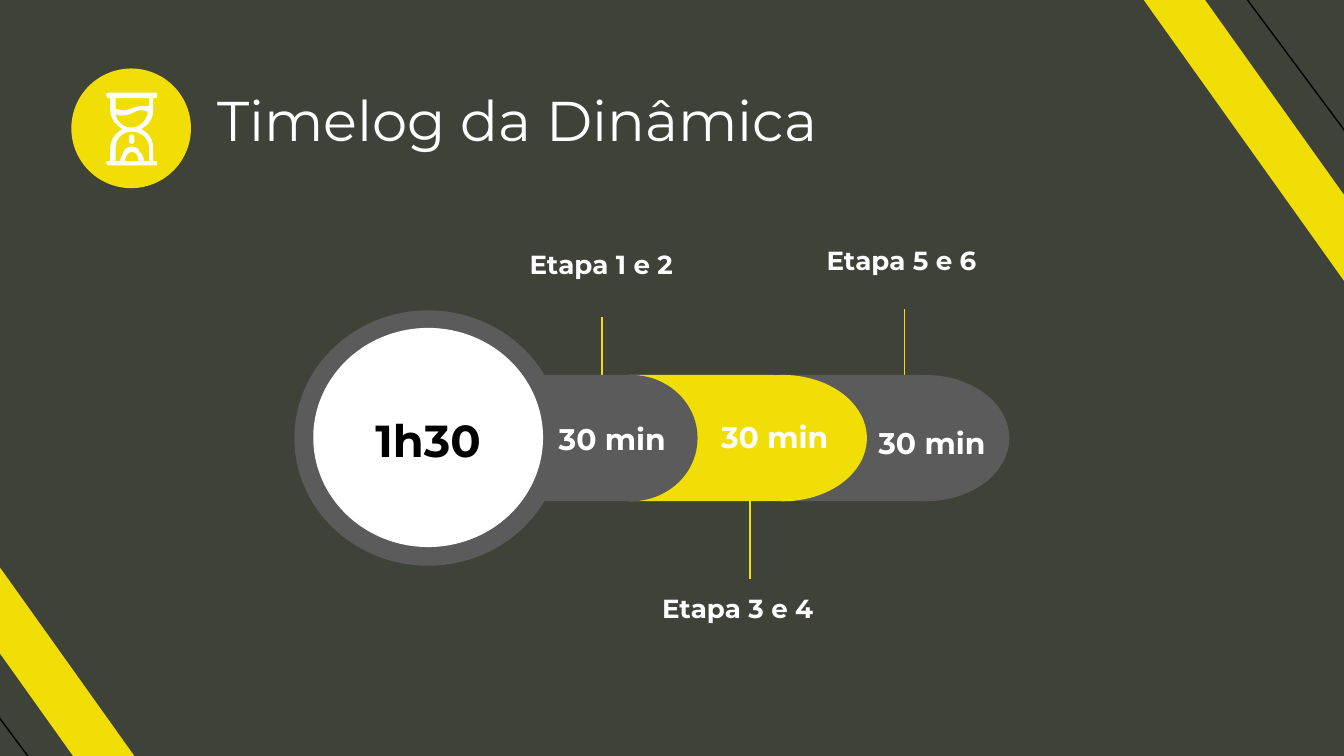
"""Build the "Timelog da Dinâmica" slide: a 1h30 session split into three 30-minute stages."""
from dataclasses import dataclass

from lxml import etree
from pptx import Presentation
from pptx import util as u
from pptx.dml import color
from pptx.enum import shapes, text
from pptx.oxml import ns


@dataclass(frozen=True)
class Theme:
    font: str = "Montserrat"
    background: str = "3F4238"
    yellow: str = "F1DE07"
    gray: str = "5B5B5B"
    white: str = "FFFFFF"
    black: str = "000000"
    title: int = 30
    total: int = 24
    duration: int = 16
    stage: int = 14


theme = Theme()
KIND = shapes.MSO_SHAPE
ALIGN = text.PP_ALIGN


def paint(shape, fill):
    shape.shadow.inherit = False
    shape.fill.solid()
    shape.fill.fore_color.rgb = color.RGBColor.from_string(fill)
    shape.line.fill.background()


def write(wording, box, size, ink=theme.white, bold=True, align=ALIGN.CENTER):
    label = slide.shapes.add_textbox(*map(u.Pt, box))
    frame = label.text_frame
    frame.word_wrap = True
    frame.margin_left = frame.margin_right = u.Pt(5.4)
    frame.margin_top = frame.margin_bottom = u.Pt(2.7)
    paragraph = frame.paragraphs[0]
    paragraph.alignment = align
    run = paragraph.add_run()
    run.text = wording
    run.font.name = theme.font
    run.font.size = u.Pt(size)
    run.font.bold = bold
    run.font.color.rgb = color.RGBColor.from_string(ink)
    return label


deck = Presentation()
deck.slide_width, deck.slide_height = u.Pt(720), u.Pt(405)
slide = deck.slides.add_slide(deck.slide_layouts[6])
slide.background.fill.solid()
slide.background.fill.fore_color.rgb = color.RGBColor.from_string(theme.background)

for left, top, turn in ((590.4, 21.6, 90), (-38.9, 302.4, 270)):
    stripe = slide.shapes.add_shape(KIND.DIAGONAL_STRIPE, *map(u.Pt, (left, top, 153.4, 109.4)))
    stripe.adjustments[0] = 0.7
    stripe.rotation = turn
    paint(stripe, theme.yellow)

rules = (
    (666.7, -2.2, 729.4, 82.1, theme.black),
    (38.2, 436.3, -24.5, 352.1, theme.black),
    (322.6, 169.9, 322.6, 214.6, theme.yellow),
    (401.8, 265.7, 401.8, 310.3, theme.yellow),
    (484.6, 165.6, 484.6, 210.2, theme.yellow),
)
for *ends, ink in rules:
    rule = slide.shapes.add_connector(shapes.MSO_CONNECTOR.STRAIGHT, *map(u.Pt, ends))
    rule.line.color.rgb = color.RGBColor.from_string(ink)
    rule.line.width = u.Pt(0.75)
    etree.SubElement(rule._element.spPr, ns.qn("a:effectLst"))

bar_top, bar_height = 200.9, 67.7
parts = (
    (KIND.OVAL, 38.2, 36.7, 64.1, 64.1, theme.yellow),
    (KIND.OVAL, 450.7, bar_top, 90, bar_height, theme.gray),
    (KIND.RECTANGLE, 414.7, bar_top, 77.8, bar_height, theme.gray),
    (KIND.RECTANGLE, 337, bar_top, 77.8, bar_height, theme.yellow),
    (KIND.OVAL, 374.4, bar_top, 90, bar_height, theme.yellow),
    (KIND.RECTANGLE, 285.1, bar_top, 52.6, bar_height, theme.gray),
    (KIND.OVAL, 302.4, bar_top, 71.3, bar_height, theme.gray),
    (KIND.OVAL, 157.7, 166.3, 143.3, 136.8, theme.gray),
    (KIND.OVAL, 167.8, 175.7, 123.1, 117.4, theme.white),
)
for kind, *box, fill in parts:
    paint(slide.shapes.add_shape(kind, *map(u.Pt, box)), fill)

glass = (
    ((32, 4), (32, 10), (30, 10, 28, 10, 26, 10), (22, 10, 19, 12, 18, 12),
     (18, 12, 16, 13, 12, 13), (10, 13, 8, 12, 7, 12), (7, 4)),
    ((26, 13), (28, 13, 30, 14, 31, 14), (31, 20, 25, 26, 19, 26), (13, 26, 8, 22, 7, 16),
     (8, 16, 10, 17, 12, 17), (16, 17, 20, 15, 20, 15), (20, 15, 23, 13, 26, 13)),
    ((19, 44), (22, 44, 24, 47, 24, 51), (14, 51), (14, 47, 17, 44, 19, 44)),
    ((19, 29), (26, 29, 32, 34, 32, 41), (32, 51), (28, 51), (28, 48, 27, 46, 25, 44),
     (24, 41, 21, 40, 19, 40), (17, 40, 14, 41, 13, 44), (12, 46, 11, 48, 10, 51),
     (7, 51), (7, 41), (7, 34, 12, 29, 19, 29)),
    ((2, 0), (0, 0, 0, 1, 0, 2), (0, 3, 1, 4, 2, 4), (3, 4), (3, 13), (3, 19, 7, 24, 12, 27),
     (7, 30, 3, 35, 3, 41), (3, 51), (2, 51), (0, 51, 0, 51, 0, 52), (0, 53, 1, 54, 2, 54),
     (37, 54), (38, 54, 38, 53, 38, 52), (38, 51, 38, 51, 37, 51), (35, 51), (35, 41),
     (35, 35, 32, 30, 26, 27), (32, 24, 35, 19, 35, 13), (35, 4), (37, 4),
     (38, 4, 38, 3, 38, 2), (38, 1, 38, 0, 37, 0)),
)
falling_sand = (
    ((19, 31), (18, 31, 17, 32, 17, 33), (17, 36), (17, 37, 18, 38, 19, 38),
     (20, 38, 21, 37, 21, 36), (21, 33), (21, 32, 20, 31, 19, 31)),
)
hourglass = slide.shapes.add_group_shape()
for outlines in (glass, falling_sand):
    builder = None
    for start, *segments in outlines:
        points = [start]
        for segment in segments:
            if len(segment) == 2:
                points.append(segment)
                continue
            knots = (*points[-1], *segment)
            for t in (0.2, 0.4, 0.6, 0.8, 1):
                weights = ((1 - t) ** 3, 3 * t * (1 - t) ** 2, 3 * t * t * (1 - t), t ** 3)
                points.append(tuple(
                    sum(w * k for w, k in zip(weights, knots[axis::2])) for axis in (0, 1)))
        corners = [(u.Pt(56.9 + 0.72 * x), u.Pt(49.7 + 0.72 * y)) for x, y in points]
        if builder is None:
            builder = hourglass.shapes.build_freeform(*corners[0])
        else:
            builder.move_to(*corners[0])
        builder.add_line_segments(corners[1:], close=True)
    paint(builder.convert_to_shape(), theme.white)

heading = write("Timelog da Dinâmica", (110.9, 31, 355.7, 69.8), theme.title,
                bold=False, align=ALIGN.LEFT)
heading.text_frame.vertical_anchor = text.MSO_ANCHOR.MIDDLE
heading.text_frame.paragraphs[0].line_spacing = 0.9

write("1h30", (167.8, 218.2, 123.1, 34.6), theme.total, theme.black)
for wording, *box in (
    ("Etapa 1 e 2", 265.7, 130.3, 113, 22.3),
    ("Etapa 3 e 4", 317.5, 314.6, 155.5, 22.3),
    ("Etapa 5 e 6 ", 420.5, 128.2, 128.9, 22.3),
):
    write(wording, box, theme.stage)
for left, top, width, align in (
    (292.3, 222.5, 71.3, ALIGN.CENTER),
    (380.9, 221.8, 90, ALIGN.LEFT),
    (465.1, 224.6, 90, ALIGN.LEFT),
):
    write("30 min", (left, top, width, 25.2), theme.duration, align=align)

deck.save("out.pptx")
